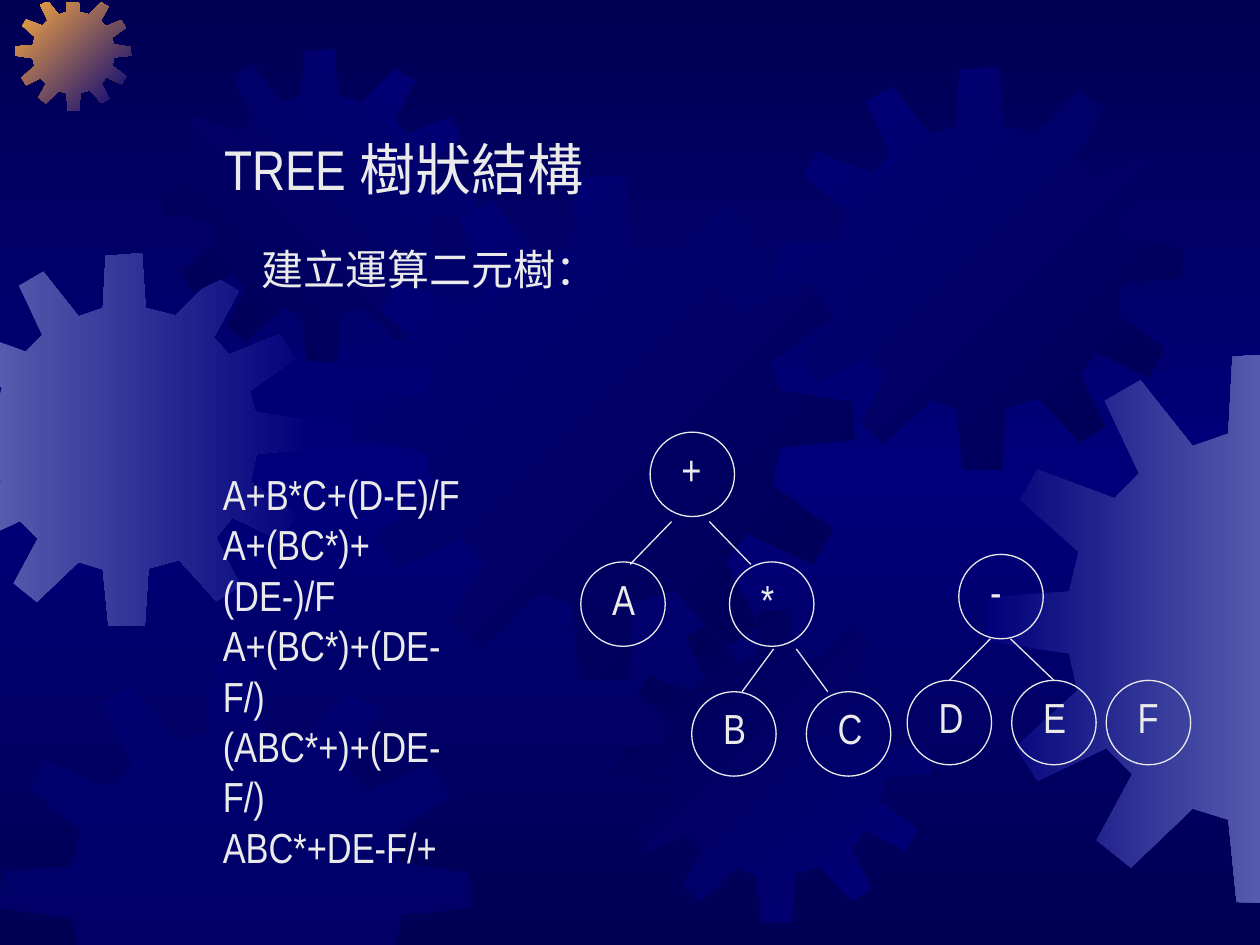
import copy

import lxml.etree
import pptx
import pptx.dml.color
import pptx.enum.shapes
import pptx.enum.text
import pptx.oxml.ns
import pptx.util

Inches = pptx.util.Inches
Pt = pptx.util.Pt
qn = pptx.oxml.ns.qn

COLORS = {"night": "000054", "navy": "00007A", "haze": "555BAD",
          "sun": "FCAB40", "ink": "EAEAEA"}
FONT = "Arial Narrow"
NODE_SIZE = 0.67

# One gear outline, drawn in a square of GEAR_SIZE and scaled for every gear
GEAR_SIZE = 4.01
GEAR = [
    (2.55, 0.67), (2.23, 0.59), (2.19, 0), (1.8, 0.03), (1.77, 0.59), (1.51, 0.68),
    (1.13, 0.2), (0.87, 0.35), (1.12, 0.88), (0.94, 1.06), (0.38, 0.85), (0.25, 1.07),
    (0.68, 1.45), (0.61, 1.74), (0.01, 1.78), (0, 2.1), (0.61, 2.19), (0.67, 2.46),
    (0.22, 2.87), (0.38, 3.12), (0.88, 2.88), (1.07, 3.07), (0.81, 3.55), (1.06, 3.75),
    (1.51, 3.32), (1.77, 3.4), (1.83, 4), (2.22, 4.01), (2.26, 3.39), (2.59, 3.3),
    (2.99, 3.74), (3.25, 3.58), (2.99, 3.06), (3.16, 2.84), (3.68, 3.09), (3.84, 2.81),
    (3.36, 2.46), (3.42, 2.16), (4.01, 2.1), (4, 1.8), (3.41, 1.71), (3.35, 1.48),
    (3.83, 1.14), (3.67, 0.87), (3.13, 1.09), (2.96, 0.91), (3.23, 0.41), (2.97, 0.25),
]
# Edges that trim the gears: axis, limit, side to keep
TRIMS = [(0, -0.01, 1), (0, 10.01, -1), (1, 0.02, 1), (1, 7.54, -1)]

# left, top, size, first colour, last colour, clockwise angle
GEARS = [
    (-0.49, 2.01, 2.96, "haze", "navy", 0),
    (0.12, -0.04, 0.92, "sun", "navy", 45),
    (1.3, 0.39, 2.48, "night", "navy", 315),
    (2.77, 1.39, 4.01, "navy", "night", 45),
    (0, 5.25, 3.74, "navy", None, 0),
    (4.91, 4.84, 2.48, "night", "navy", 45),
    (6.18, 0.53, 3.2, "navy", "night", 45),
    (7.82, 2.8, 4.37, "navy", "haze", 0),
]


def rgb(name):
    return pptx.dml.color.RGBColor.from_string(COLORS[name])


def set_gradient(fill, names, angle):
    fill.gradient()
    fill.gradient_angle = -angle % 360
    stop_list = fill.gradient_stops[0]._gs.getparent()
    for _ in names[2:]:
        stop_list.append(copy.deepcopy(stop_list[-1]))
    for index, (stop, name) in enumerate(zip(fill.gradient_stops, names)):
        stop.position = index / (len(names) - 1)
        stop.color.rgb = rgb(name)


def trim(points, axis, limit, side):
    kept = []
    for before, point in zip(points[-1:] + points[:-1], points):
        was_in = (before[axis] - limit) * side >= 0
        is_in = (point[axis] - limit) * side >= 0
        if was_in != is_in:
            share = (limit - before[axis]) / (point[axis] - before[axis])
            kept.append(tuple(b + share * (p - b) for b, p in zip(before, point)))
        if is_in:
            kept.append(point)
    return kept


def add_gear(slide, left, top, size, first, last, angle):
    scale = size / GEAR_SIZE
    outline = [(left + x * scale, top + y * scale) for x, y in GEAR]
    for edge in TRIMS:
        outline = trim(outline, *edge)
    corners = [(Inches(x), Inches(y)) for x, y in outline]
    builder = slide.shapes.build_freeform(*corners[0])
    builder.add_line_segments(corners[1:], close=True)
    gear = builder.convert_to_shape()
    gear.shadow.inherit = False
    gear.line.fill.background()
    if last:
        set_gradient(gear.fill, [first, last], angle)
    else:  # half transparent plain gear
        gear.fill.solid()
        gear.fill.fore_color.rgb = rgb(first)
        color = gear.fill._xPr.find(qn("a:solidFill"))[0]
        lxml.etree.SubElement(color, qn("a:alpha"), val="50000")


def add_text(shapes, left, top, width, height, lines, size=24):
    box = shapes.add_textbox(Inches(left), Inches(top), Inches(width), Inches(height))
    frame = box.text_frame
    frame.word_wrap = False
    frame.auto_size = pptx.enum.text.MSO_AUTO_SIZE.SHAPE_TO_FIT_TEXT
    frame.text = "\n".join(lines)
    for paragraph in frame.paragraphs:
        for run in paragraph.runs:
            run.font.name = FONT
            run.font.size = Pt(size)
            run.font.color.rgb = rgb("ink")


def set_line(shape):
    shape.line.color.rgb = rgb("ink")
    shape.line.width = Pt(0.75)


def add_node(slide, left, top, label, label_width):
    shapes = slide.shapes.add_group_shape().shapes
    circle = shapes.add_shape(pptx.enum.shapes.MSO_SHAPE.OVAL, Inches(left), Inches(top),
                              Inches(NODE_SIZE), Inches(NODE_SIZE))
    circle.shadow.inherit = False
    circle.fill.background()
    set_line(circle)
    add_text(shapes, left + 0.15, top + 0.04, label_width, 0.5, [label])
    return circle


def add_fork(slide, center, top, bottom, inner, outer, children=(None, None)):
    """Draw two branches that spread from inner to outer around a centre."""
    for side, child in zip((-1, 1), children):
        branch = slide.shapes.add_connector(
            pptx.enum.shapes.MSO_CONNECTOR.STRAIGHT,
            Inches(center + side * inner), Inches(top),
            Inches(center + side * outer), Inches(bottom))
        set_line(branch)
        lxml.etree.SubElement(branch._element.spPr, qn("a:effectLst"))
        if child is not None:
            branch.end_connect(child, 0)


def add_sum_tree(slide, left, top):
    for x, level, label, width in [(1.79, 2, "C", 0.39), (0.88, 2, "B", 0.38),
                                   (1.18, 1, "*", 0.3), (0, 1, "A", 0.38),
                                   (0.55, 0, "+", 0.36)]:
        add_node(slide, left + x, top + level * 1.03, label, width)
    add_fork(slide, left + 1.62, top + 1.72, top + 2.06, 0.09, 0.34)
    add_fork(slide, left + 0.87, top + 0.71, top + 1.05, 0.15, 0.48)


def add_difference_tree(slide, left, top):
    leaves = {label: add_node(slide, left + x, top + 1, label, width)
              for label, x, width in [("F", 1.58, 0.36), ("D", 0, 0.39), ("E", 0.83, 0.38)]}
    add_node(slide, left + 0.41, top, "-", 0.29)
    add_fork(slide, left + 0.74, top + NODE_SIZE, top + 1, 0.08, 0.42,
             (leaves["D"], leaves["E"]))


def main():
    deck = pptx.Presentation()
    deck.slide_width, deck.slide_height = Inches(10), Inches(7.5)
    slide = deck.slides.add_slide(deck.slide_layouts[6])

    # Backdrop
    set_gradient(slide.background.fill, ["night", "navy", "night"], 90)
    for gear in GEARS:
        add_gear(slide, *gear)

    # Title, conversion steps and subtitle
    add_text(slide.shapes, 1.68, 1.02, 3.16, 0.64, ["TREE 樹狀結構"], size=32)
    add_text(slide.shapes, 1.67, 3.67, 2.26, 2.1,
             ["A+B*C+(D-E)/F", "A+(BC*)+(DE-)/F", "A+(BC*)+(DE-F/)",
              "(ABC*+)+(DE-F/)", "ABC*+DE-F/+"])
    add_text(slide.shapes, 1.98, 1.88, 2.86, 0.5, ["建立運算二元樹："])

    # Expression trees
    add_difference_tree(slide, 7.2, 4.4)
    add_sum_tree(slide, 4.61, 3.43)

    deck.save("out.pptx")


if __name__ == "__main__":
    main()
